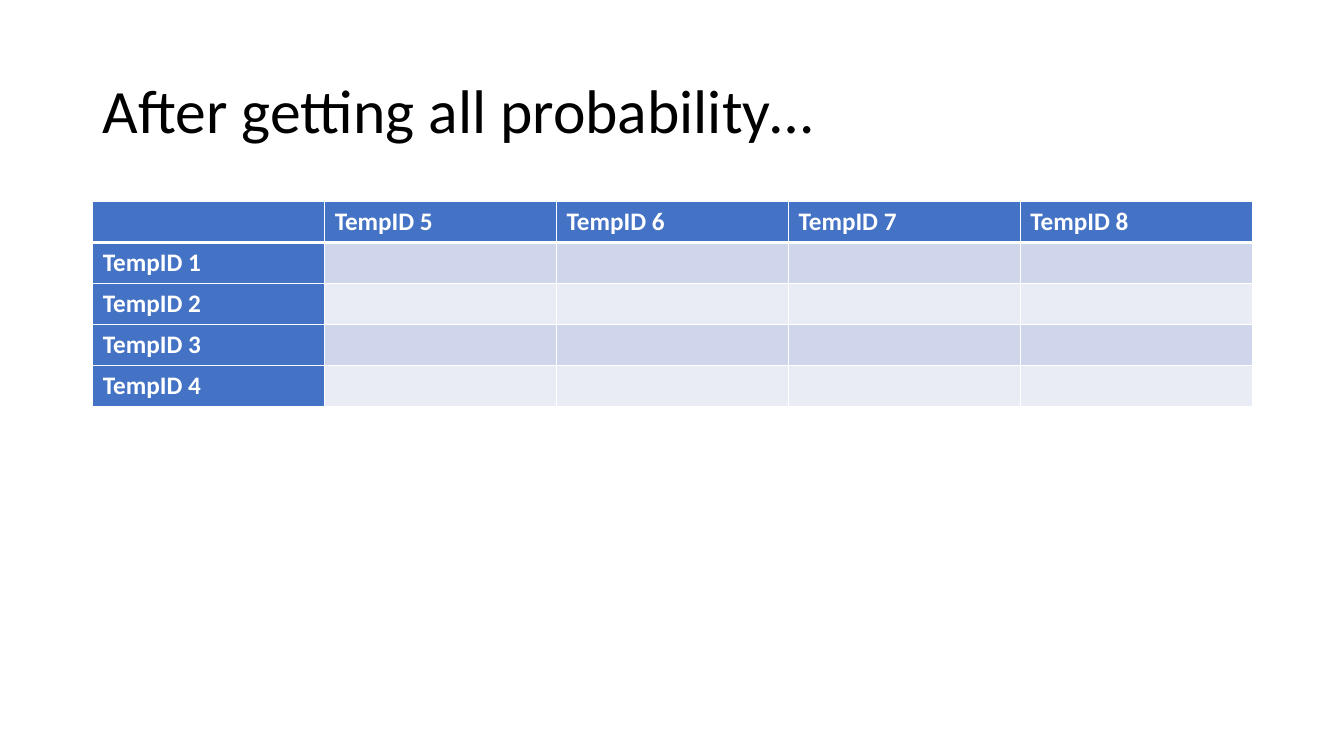
from lxml import etree
from pptx import Presentation
from pptx import util as u
from pptx.dml.color import RGBColor
from pptx.enum import text
from pptx.oxml import ns

PX = 9144  # EMU per px, 100 px to the inch
BLACK = RGBColor(0x00, 0x00, 0x00)
WHITE = RGBColor(0xFF, 0xFF, 0xFF)
BLUE = RGBColor(0x44, 0x72, 0xC4)
BANDS = [RGBColor(0xCF, 0xD5, 0xEA), RGBColor(0xE9, 0xEB, 0xF5)]

TITLE_FONT = {"name": "Calibri", "size": u.Pt(44), "bold": False}
LABEL_FONT = {"name": "Calibri", "size": u.Pt(18), "bold": True}
COLUMN_IDS = range(5, 9)
ROW_IDS = range(1, 5)


def px(*lengths):
    return [u.Emu(length * PX) for length in lengths]


def set_format(target, values):
    for name, value in values.items():
        setattr(target, name, value)


def style_font(font, values, color):
    set_format(font, values)
    font.color.rgb = color


def add_borders(cell, widths):
    """Draw white cell edges; widths maps L, R, T, B to points."""
    properties = cell._tc.get_or_add_tcPr()
    for index, (side, points) in enumerate(widths.items()):
        line = etree.Element(ns.qn(f"a:ln{side}"), w=str(u.Pt(points)))
        fill = etree.SubElement(line, ns.qn("a:solidFill"))
        etree.SubElement(fill, ns.qn("a:srgbClr"), val=str(WHITE))
        properties.insert(index, line)


def fill_title(slide, box, wording):
    title = slide.shapes.title
    set_format(title, dict(zip(("left", "top", "width", "height"), px(*box))))
    frame = title.text_frame
    frame.text = wording
    set_format(frame, {"word_wrap": True,
                       "auto_size": text.MSO_AUTO_SIZE.NONE,
                       "vertical_anchor": text.MSO_ANCHOR.MIDDLE})
    paragraph = frame.paragraphs[0]
    set_format(paragraph, {"alignment": text.PP_ALIGN.LEFT, "line_spacing": 0.9})
    style_font(paragraph.runs[0].font, TITLE_FONT, BLACK)


def add_probability_table(slide, box):
    # Labels run along the first row and the first column
    labels = {(0, c): f"TempID {n}" for c, n in enumerate(COLUMN_IDS, 1)}
    labels.update({(r, 0): f"TempID {n}" for r, n in enumerate(ROW_IDS, 1)})
    rows, columns = len(ROW_IDS) + 1, len(COLUMN_IDS) + 1
    table = slide.shapes.add_table(rows, columns, *px(*box)).table
    table.first_col = True

    for r in range(rows):
        for c in range(columns):
            cell = table.cell(r, c)
            cell.fill.solid()
            is_header = r == 0 or c == 0
            cell.fill.fore_color.rgb = BLUE if is_header else BANDS[(r - 1) % 2]
            # A thicker rule separates the header row
            add_borders(cell, {"L": 1, "R": 1,
                               "T": 3 if r == 1 else 1,
                               "B": 3 if r == 0 else 1})
            if (r, c) in labels:
                cell.text = labels[r, c]
                run = cell.text_frame.paragraphs[0].runs[0]
                style_font(run.font, LABEL_FONT, WHITE)


def main():
    deck = Presentation()
    deck.slide_width, deck.slide_height = px(1333, 750)
    slide = deck.slides.add_slide(deck.slide_layouts.get_by_name("Title Only"))
    fill_title(slide, (92, 40, 1150, 145), "After getting all probability…")
    add_probability_table(slide, (92, 200, 1150, 203))
    deck.save("out.pptx")


if __name__ == "__main__":
    main()
